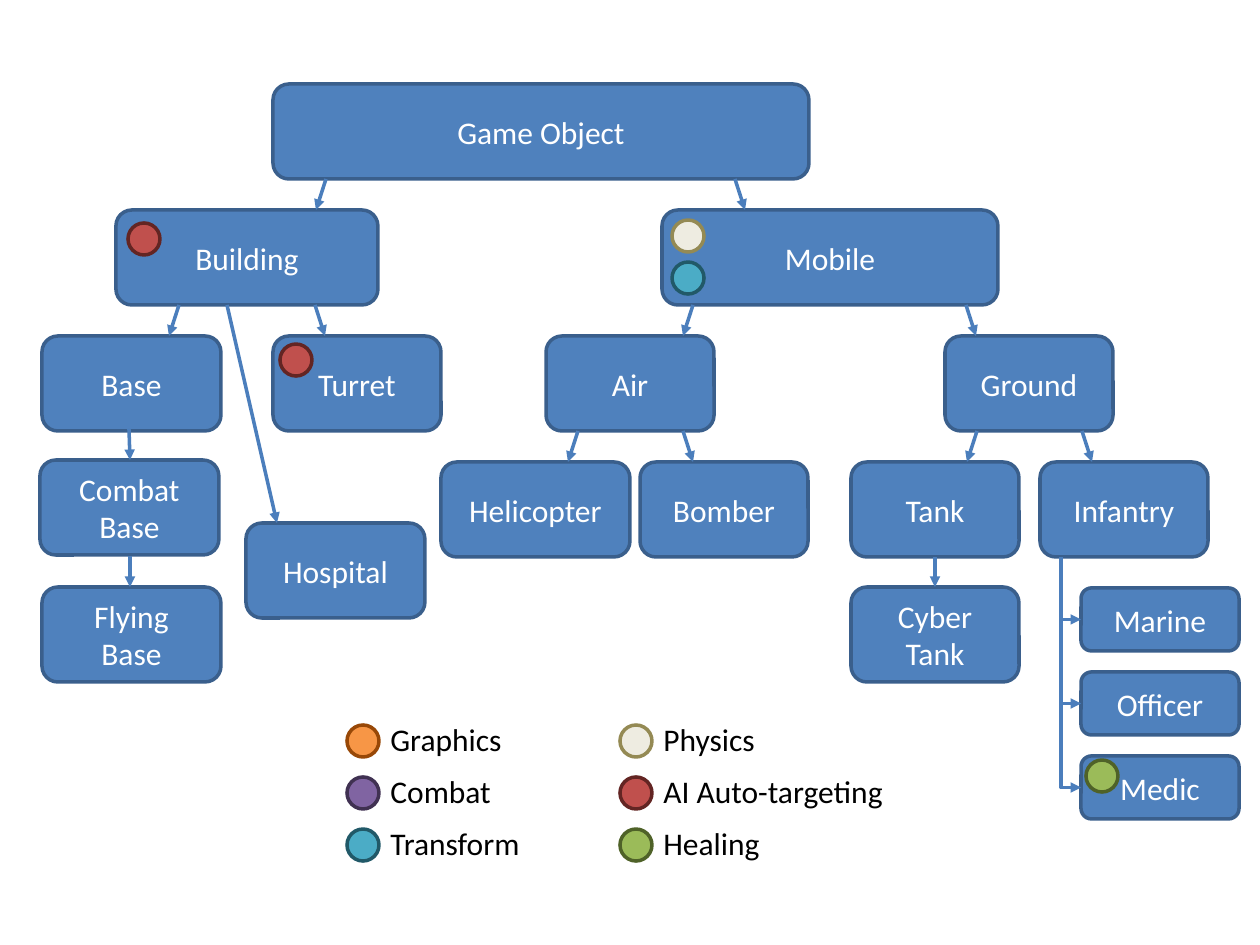
from lxml.etree import SubElement
from pptx import Presentation
from pptx.dml.color import RGBColor
from pptx.enum.shapes import MSO_CONNECTOR as LINK, MSO_SHAPE as SHAPE
from pptx.enum.text import MSO_ANCHOR as ANCHOR, PP_ALIGN as ALIGN
from pptx.oxml.ns import qn
from pptx.util import Pt

SCALE = 914400 / 126
WHITE = RGBColor(0xFF, 0xFF, 0xFF)
BLACK = RGBColor(0x00, 0x00, 0x00)
BLUE = RGBColor(0x4F, 0x81, 0xBD)
NAVY = RGBColor(0x3A, 0x5F, 0x8C)
ARROW = RGBColor(0x4B, 0x7E, 0xBC)
ORANGE = RGBColor(0xF7, 0x96, 0x46), RGBColor(0x98, 0x48, 0x07)
PURPLE = RGBColor(0x80, 0x64, 0xA2), RGBColor(0x40, 0x31, 0x52)
TEAL = RGBColor(0x4B, 0xAC, 0xC6), RGBColor(0x21, 0x59, 0x68)
CREAM = RGBColor(0xEE, 0xEC, 0xE1), RGBColor(0x94, 0x8A, 0x54)
RED = RGBColor(0xC0, 0x50, 0x4D), RGBColor(0x63, 0x25, 0x23)
GREEN = RGBColor(0x9B, 0xBB, 0x59), RGBColor(0x4F, 0x62, 0x28)

deck = Presentation()
deck.slide_width, deck.slide_height = (round(n * SCALE) for n in (1260, 945))
shapes = deck.slides.add_slide(deck.slide_layouts[6]).shapes


def draw(kind, spot, fill, edge):
    """Add a filled, outlined shape at a pixel box (left, top, width, height)."""
    shape = shapes.add_shape(kind, *(round(n * SCALE) for n in spot))
    shape.shadow.inherit = False
    shape.fill.solid()
    shape.fill.fore_color.rgb = fill
    shape.line.color.rgb = edge
    shape.line.width = Pt(2)
    return shape


def write(shape, text, color=BLACK, align=ALIGN.LEFT, anchor=ANCHOR.TOP, size=18):
    """Put text in a shape, one paragraph for each line."""
    frame = shape.text_frame
    frame.word_wrap = True
    frame.vertical_anchor = anchor
    frame.text = text
    for para in frame.paragraphs:
        para.alignment = align
        font = para.font
        font.name, font.size, font.color.rgb = "Calibri", Pt(size), color


# Class boxes: rows are 126 pixels apart
ROWS = [84 + 126 * i for i in range(5)]
TALL, SMALL = 95, 63
boxes = [
    ("Game Object", 273, ROWS[0], 536, TALL),
    ("Building", 116, ROWS[1], 262, TALL),
    ("Mobile", 662, ROWS[1], 336, TALL),
    ("Base", 42, ROWS[2], 179, TALL),
    ("Turret", 273, ROWS[2], 168, TALL),
    ("Air", 546, ROWS[2], 168, TALL),
    ("Ground", 945, ROWS[2], 168, TALL),
    ("Combat\nBase", 40, 460, 179, TALL),
    ("Helicopter", 441, ROWS[3], 189, TALL),
    ("Bomber", 640, ROWS[3], 168, TALL),
    ("Tank", 851, ROWS[3], 168, TALL),
    ("Infantry", 1040, ROWS[3], 168, TALL),
    ("Hospital", 246, 523, 179, TALL),
    ("Flying\nBase", 42, 587, 179, TALL),
    ("Cyber\nTank", 851, 587, 168, TALL),
]
ranks = ["Marine", "Officer", "Medic"]
boxes += [(name, 1081, ROWS[4] + 84 * i, 158, SMALL) for i, name in enumerate(ranks)]
for name, *spot in boxes:
    box = draw(SHAPE.ROUNDED_RECTANGLE, spot, BLUE, NAVY)
    write(box, name, color=WHITE, align=ALIGN.CENTER, anchor=ANCHOR.MIDDLE)

# Links: each pair of children hangs from a parent row
pairs = [(0, 326, 735), (1, 179, 315), (1, 693, 966), (2, 578, 683), (2, 977, 1082)]
links = []
for row, left, right in pairs:
    foot = ROWS[row] + TALL
    links += [(LINK.STRAIGHT, left, foot, left - 10, ROWS[row + 1]),
              (LINK.STRAIGHT, right, foot, right + 10, ROWS[row + 1])]
links += [
    (LINK.STRAIGHT, 129, 429, 130, 460),
    (LINK.STRAIGHT, 130, 556, 130, 587),
    (LINK.STRAIGHT, 935, 557, 935, 587),
    (LINK.STRAIGHT, 227, 305, 277, 523),
]
# An elbow is laid out flat, then turned about its centre
STEM, FOOT, REACH = 1061, ROWS[3] + TALL, 20
for i in range(len(ranks)):
    drop = ROWS[4] + 84 * i + SMALL / 2 - FOOT
    mid_x, mid_y = STEM + REACH / 2, FOOT + drop / 2
    links.append((LINK.ELBOW, mid_x + drop / 2, mid_y - REACH / 2,
                  mid_x - drop / 2, mid_y + REACH / 2))
for kind, *ends in links:
    link = shapes.add_connector(kind, *(round(n * SCALE) for n in ends))
    link.line.color.rgb = ARROW
    link.line.width = Pt(2)
    props = link.element.spPr
    SubElement(props.find(qn("a:ln")), qn("a:tailEnd"), type="triangle")
    SubElement(props, qn("a:effectLst"))
    if kind == LINK.ELBOW:
        props.find(qn("a:prstGeom")).set("prst", "bentConnector2")
        props.find(qn("a:xfrm")).set("rot", "16200000")

# Component dots on the boxes, then the legend
dots = [(128, 223, RED), (280, 344, RED), (672, 220, CREAM),
        (672, 262, TEAL), (1086, 760, GREEN)]
legend = [
    (347, [("Graphics", ORANGE), ("Combat", PURPLE), ("Transform", TEAL)]),
    (620, [("Physics", CREAM), ("AI Auto-targeting", RED), ("Healing", GREEN)]),
]
for left, items in legend:
    for i, (name, tint) in enumerate(items):
        top = 725 + 52 * i
        dots.append((left, top, tint))
        spot = left + 31, top - 11, 273, 50
        write(shapes.add_textbox(*(round(n * SCALE) for n in spot)), name)
for left, top, tint in dots:
    draw(SHAPE.OVAL, (left, top, 32, 32), *tint)

deck.save("out.pptx")
